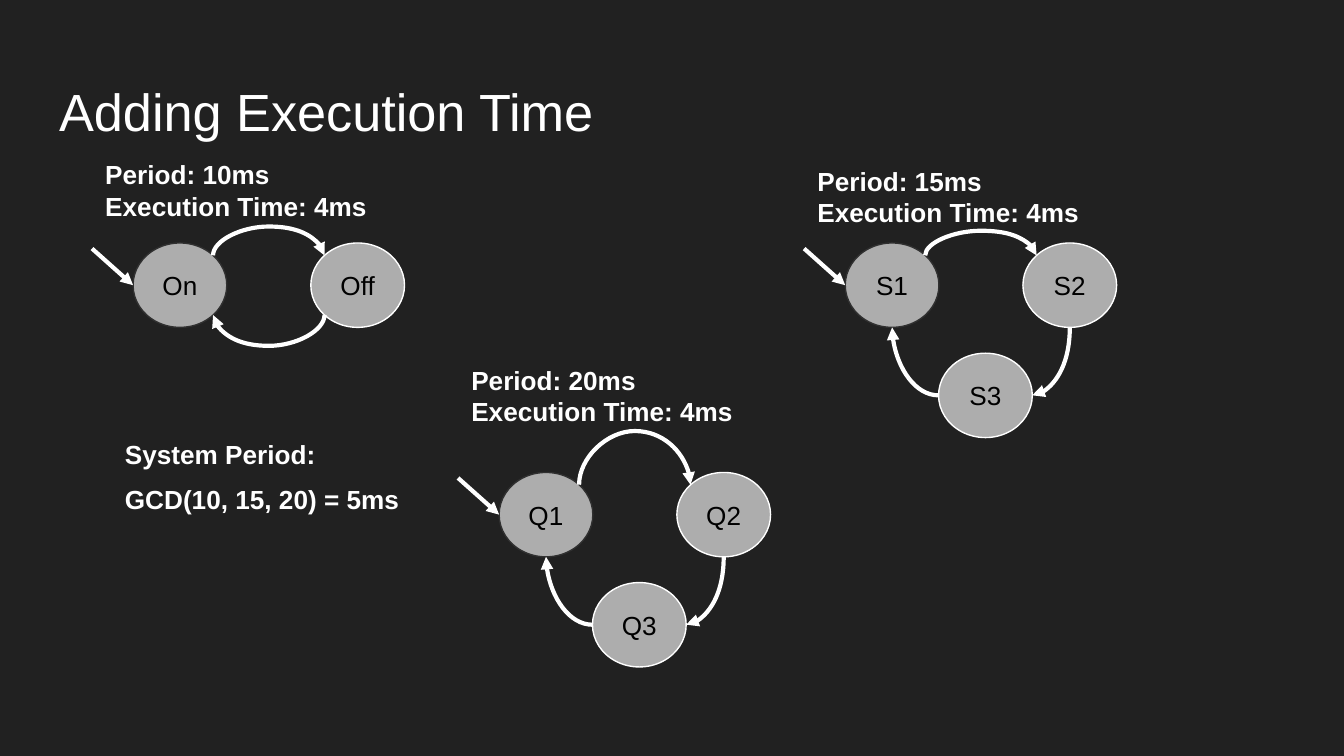
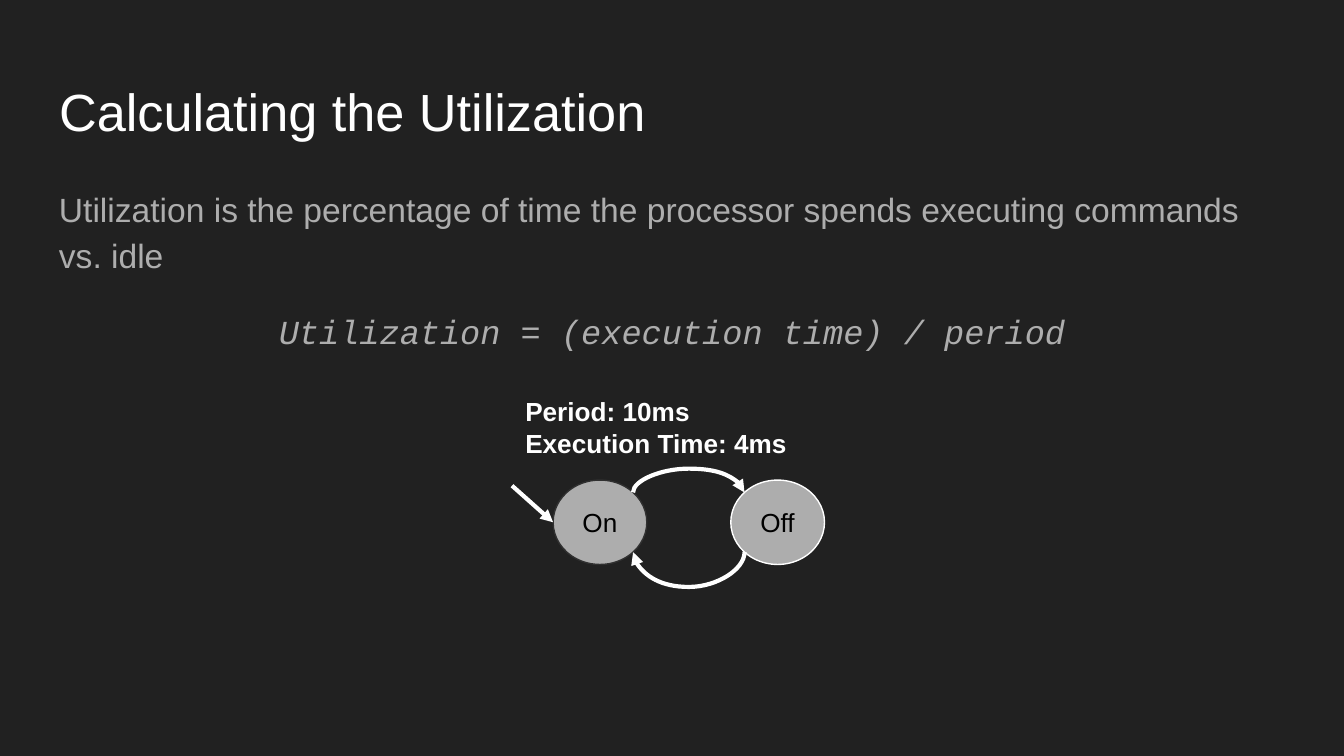
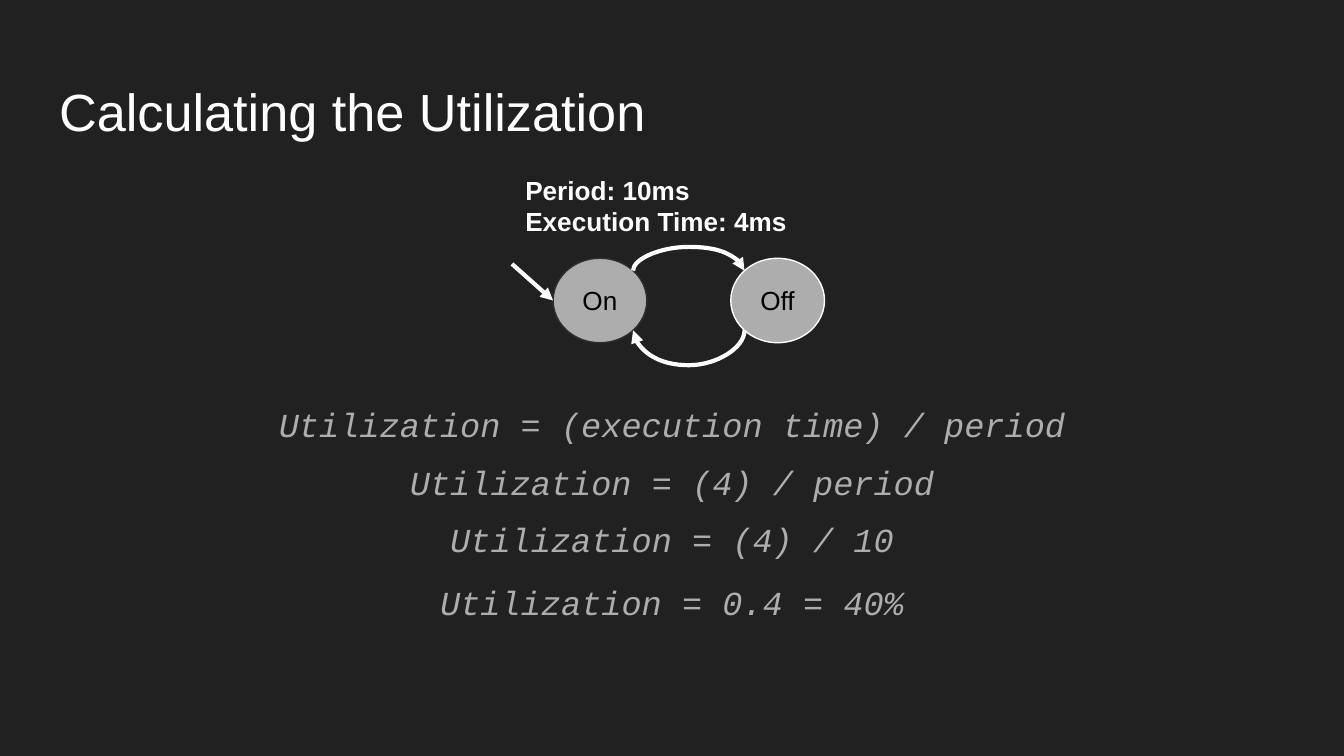
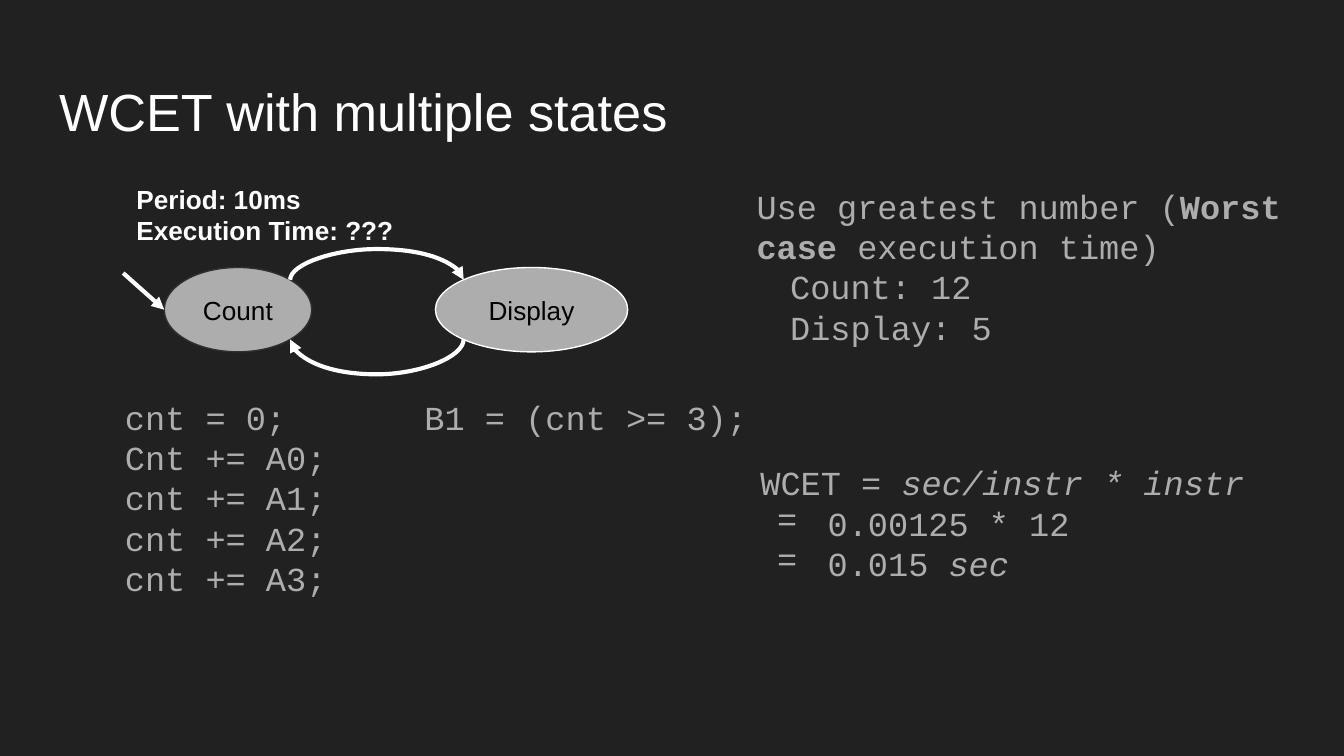
from math import sqrt

from lxml import etree
from pptx import Presentation
from pptx.dml.color import RGBColor
from pptx.enum.shapes import MSO_CONNECTOR, MSO_SHAPE
from pptx.enum.text import MSO_ANCHOR, MSO_AUTO_SIZE, PP_ALIGN
from pptx.oxml.ns import qn
from pptx.util import Pt

STRAIGHT, CURVE = MSO_CONNECTOR.STRAIGHT, MSO_CONNECTOR.CURVE
OVAL = MSO_SHAPE.OVAL
TOP, MIDDLE = MSO_ANCHOR.TOP, MSO_ANCHOR.MIDDLE
LEFT, CENTER = PP_ALIGN.LEFT, PP_ALIGN.CENTER
NO_FIT = MSO_AUTO_SIZE.NONE

COLORS = {
    "background": "212121",
    "light": "FFFFFF",
    "muted": "ADADAD",
    "edge": "303030",
    "ink": "000000",
}
SANS, MONO = "Arial", "Courier New"
INSET = 7.2
TITLE_BOX = (24.5, 35.3, 671, 45.4)
STATE_WIDTH, STATE_HEIGHT = 50.2, 45.2
LABEL_SIZE = (171.4, 35.3)
THIN = 0.05
DIAGONAL = sqrt(0.5)

TITLE = {"size": Pt(28), "name": SANS, "color": "light"}
LABEL = {"size": Pt(14), "name": SANS, "color": "light", "bold": True}
STATE = {"size": Pt(14), "name": SANS, "color": "ink"}
BODY = {"size": Pt(18), "name": SANS, "color": "muted"}
CODE = {"size": Pt(18), "name": MONO, "color": "muted"}
FORMULA = {**CODE, "italic": True}
SPACED = {"line_spacing": 1.15, "space_after": Pt(16)}
CENTERED = {"alignment": CENTER}

SITES = {
    "top_left": (1, -DIAGONAL, -DIAGONAL),
    "left": (2, -1, 0),
    "bottom_left": (3, -DIAGONAL, DIAGONAL),
    "bottom": (4, 0, 1),
    "bottom_right": (5, DIAGONAL, DIAGONAL),
    "right": (6, 1, 0),
    "top_right": (7, DIAGONAL, -DIAGONAL),
}


def rgb(name):
    return RGBColor.from_string(COLORS[name])


def apply(target, formats):
    for name, value in formats.items():
        if name == "color":
            target.color.rgb = rgb(value)
        else:
            setattr(target, name, value)


def points(values):
    return [Pt(value) for value in values]


def add_node(parent, tag, **attributes):
    node = etree.SubElement(parent, qn(tag))
    for name, value in attributes.items():
        node.set(name, str(value))
    return node


def fill_text(frame, paragraphs, anchor=TOP, top_inset=INSET):
    apply(frame, {
        "word_wrap": True,
        "auto_size": NO_FIT,
        "vertical_anchor": anchor,
        "margin_left": Pt(INSET),
        "margin_right": Pt(INSET),
        "margin_top": Pt(top_inset),
        "margin_bottom": Pt(INSET),
    })
    for index, (runs, layout) in enumerate(paragraphs):
        paragraph = frame.add_paragraph() if index else frame.paragraphs[0]
        apply(paragraph, {"alignment": LEFT, **layout})
        for text, font in runs:
            run = paragraph.add_run()
            run.text = text
            apply(run.font, font)
    return frame


def plain(lines, font, layout=None):
    return [([(line, font)], layout or {}) for line in lines]


def text_region(slide, box, paragraphs, **options):
    frame = slide.shapes.add_textbox(*points(box)).text_frame
    return fill_text(frame, paragraphs, **options)


def indent(paragraph, margin, hanging, bullet=None):
    properties = paragraph._p.get_or_add_pPr()
    properties.set("marL", str(Pt(margin)))
    properties.set("indent", str(Pt(-hanging)))
    if bullet:
        color = add_node(properties, "a:buClr")
        add_node(color, "a:srgbClr", val=COLORS["muted"])
        add_node(properties, "a:buFont", typeface=MONO)
        add_node(properties, "a:buChar", char=bullet)


def arrow(slide, kind, start, end):
    connector = slide.shapes.add_connector(kind, *points(start + end))
    apply(connector.line, {"color": "light", "width": Pt(2.25)})
    properties = connector.element.spPr
    add_node(properties.find(qn("a:ln")), "a:tailEnd", type="triangle")
    add_node(properties, "a:effectLst")
    return connector


def site_point(state, site):
    _, (left, top, width, height) = state
    _, across, down = SITES[site]
    return (left + width / 2 * (1 + across), top + height / 2 * (1 + down))


def transition(slide, source, source_site, target, target_site,
               turn, flip=False, bulge=None):
    start, end = site_point(source, source_site), site_point(target, target_site)
    across, down = [max(abs(b - a), THIN) for a, b in zip(start, end)]
    width, height = (across, down) if turn == 180 else (down, across)
    middle_x, middle_y = [(a + b) / 2 for a, b in zip(start, end)]
    connector = arrow(slide, CURVE, (0, 0), (1, 1))
    apply(connector, {
        "left": Pt(middle_x - width / 2),
        "top": Pt(middle_y - height / 2),
        "width": Pt(width),
        "height": Pt(height),
    })
    frame = connector.element.spPr.find(qn("a:xfrm"))
    frame.set("rot", str(turn * 60000))
    if flip:
        frame.set("flipH", "1")
    geometry = connector.element.spPr.find(qn("a:prstGeom"))
    if bulge is None:
        geometry.set("prst", "curvedConnector2")
    else:
        guides = geometry.find(qn("a:avLst"))
        if guides is None:
            guides = add_node(geometry, "a:avLst")
        add_node(guides, "a:gd", name="adj1",
                 fmla=f"val {round(bulge / width * 100000)}")
    joints = connector.element.nvCxnSpPr.cNvCxnSpPr
    for tag, state, site in (("a:stCxn", source, source_site),
                             ("a:endCxn", target, target_site)):
        add_node(joints, tag, id=state[0].shape_id, idx=SITES[site][0])


def add_state(slide, box, name, edge="light"):
    state = slide.shapes.add_shape(OVAL, *points(box))
    state.shadow.inherit = False
    state.fill.solid()
    state.fill.fore_color.rgb = rgb("muted")
    apply(state.line, {"color": edge, "width": Pt(0.75)})
    fill_text(state.text_frame, plain([name], STATE, CENTERED), MIDDLE)
    state.text_frame.word_wrap = False
    return state, box


def machine_start(slide, box, names, timing, label_rise, rise, widths, step):
    left, top = box
    first = add_state(slide, (left, top, widths[0], STATE_HEIGHT), names[0], "edge")
    second = add_state(slide, (left + step, top, widths[1], STATE_HEIGHT), names[1])
    transition(slide, first, "top_right", second, "top_left", 270, True, -rise)
    arrow(slide, STRAIGHT, (left - 22, top + 3), site_point(first, "left"))
    text_region(slide, (left - 22, top - label_rise, *LABEL_SIZE),
                plain(timing, LABEL), anchor=MIDDLE)
    return first, second


def two_state_machine(slide, box, names, timing, rise=11.2, drop=16.5,
                      widths=(STATE_WIDTH, STATE_WIDTH), step=95.2):
    first, second = machine_start(slide, box, names, timing, 46, rise, widths, step)
    transition(slide, second, "bottom_left", first, "bottom_right", 90, bulge=drop)


def three_state_machine(slide, box, names, timing, label_rise, rise):
    widths = (STATE_WIDTH, STATE_WIDTH)
    first, second = machine_start(slide, box, names, timing, label_rise,
                                  rise, widths, 95.2)
    left, top = box
    third = add_state(slide, (left + 50, top + 59, STATE_WIDTH, STATE_HEIGHT), names[2])
    transition(slide, second, "bottom", third, "right", 90)
    transition(slide, third, "left", first, "bottom", 180)


def timing(period, execution="4ms"):
    return [f"Period: {period}ms", f"Execution Time: {execution}"]


def titled_slide(deck, text):
    slide = deck.slides.add_slide(deck.slide_layouts[5])
    title = slide.shapes.title
    for name, value in zip(("left", "top", "width", "height"), TITLE_BOX):
        setattr(title, name, Pt(value))
    fill_text(title.text_frame, plain([text], TITLE))
    return slide


def execution_time_slide(deck):
    slide = titled_slide(deck, "Adding Execution Time")
    three_state_machine(slide, (452.8, 130.2), ("S1", "S2", "S3"), timing(15), 42.5, 11.6)
    three_state_machine(slide, (267.4, 253.1), ("Q1", "Q2", "Q3"), timing(20), 58.7, 25.35)
    two_state_machine(slide, (71.3, 130.2), ("On", "Off"), timing(10), 13.6, 14.6)
    for row, line in enumerate(("System Period:", "GCD(10, 15, 20) = 5ms")):
        text_region(slide, (59.8, 232.6 + row * 24.5, 171.4, 36.7),
                    plain([line], LABEL), top_inset=2)


def utilization_slide(deck):
    slide = titled_slide(deck, "Calculating the Utilization")
    definition = ("Utilization is the percentage of time the processor spends "
                  "executing commands vs. idle")
    text_region(slide, (24.5, 90.7, 671, 110.2),
                plain([definition], BODY, SPACED)
                + plain(["Utilization = (execution time) / period"], FORMULA,
                        {**SPACED, **CENTERED}))
    two_state_machine(slide, (296.3, 257.2), ("On", "Off"), timing(10))


def utilization_steps_slide(deck):
    slide = titled_slide(deck, "Calculating the Utilization")
    two_state_machine(slide, (296.3, 138.4), ("On", "Off"), timing(10))
    steps = {
        206: "(execution time) / period",
        237: "(4) / period",
        267.8: "(4) / 10",
        301.6: "0.4 = 40%",
    }
    for top, value in steps.items():
        text_region(slide, (24.5, top, 671, 40.3),
                    plain([f"Utilization = {value}"], FORMULA, {**SPACED, **CENTERED}))


def worst_case_region(slide, box):
    strong = {**CODE, "bold": True}
    heading = [("Use greatest number (", CODE), ("Worst case", strong),
               (" execution time)", CODE)]
    frame = text_region(slide, box, [(heading, {})]
                        + plain(["Count: 12", "Display: 5"], CODE))
    for paragraph in frame.paragraphs[1:]:
        indent(paragraph, 36, 18)


def wcet_region(slide, box):
    frame = text_region(slide, box, [
        ([("WCET = ", CODE), ("sec/instr * instr", FORMULA)], {}),
        ([("0.00125 * 12", CODE)], {}),
        ([("0.015 ", CODE), ("sec", FORMULA)], {}),
    ], anchor=MIDDLE)
    for paragraph in frame.paragraphs[1:]:
        indent(paragraph, 36, 27, "=")


def multiple_states_slide(deck):
    slide = titled_slide(deck, "WCET with multiple states")
    count_code = ["cnt = 0;", "Cnt += A0;"] + [f"cnt += A{i};" for i in (1, 2, 3)]
    text_region(slide, (59.8, 205.2, 137.5, 111.6), plain(count_code, CODE))
    two_state_machine(slide, (88, 143.3), ("Count", "Display"), timing(10, "???"),
                      14.5, 16.5, widths=(79, 103), step=145.3)
    text_region(slide, (220.3, 205.2, 205.2, 111.6), plain(["B1 = (cnt >= 3);"], CODE))
    worst_case_region(slide, (398.2, 92.2, 297.4, 111.6))
    wcet_region(slide, (400.3, 221, 292.3, 118))


def main():
    deck = Presentation()
    apply(deck, {"slide_width": Pt(720), "slide_height": Pt(405)})
    backdrop = deck.slide_master.background.fill
    backdrop.solid()
    backdrop.fore_color.rgb = rgb("background")
    for build in (execution_time_slide, utilization_slide,
                  utilization_steps_slide, multiple_states_slide):
        build(deck)
    deck.save("out.pptx")


main()
